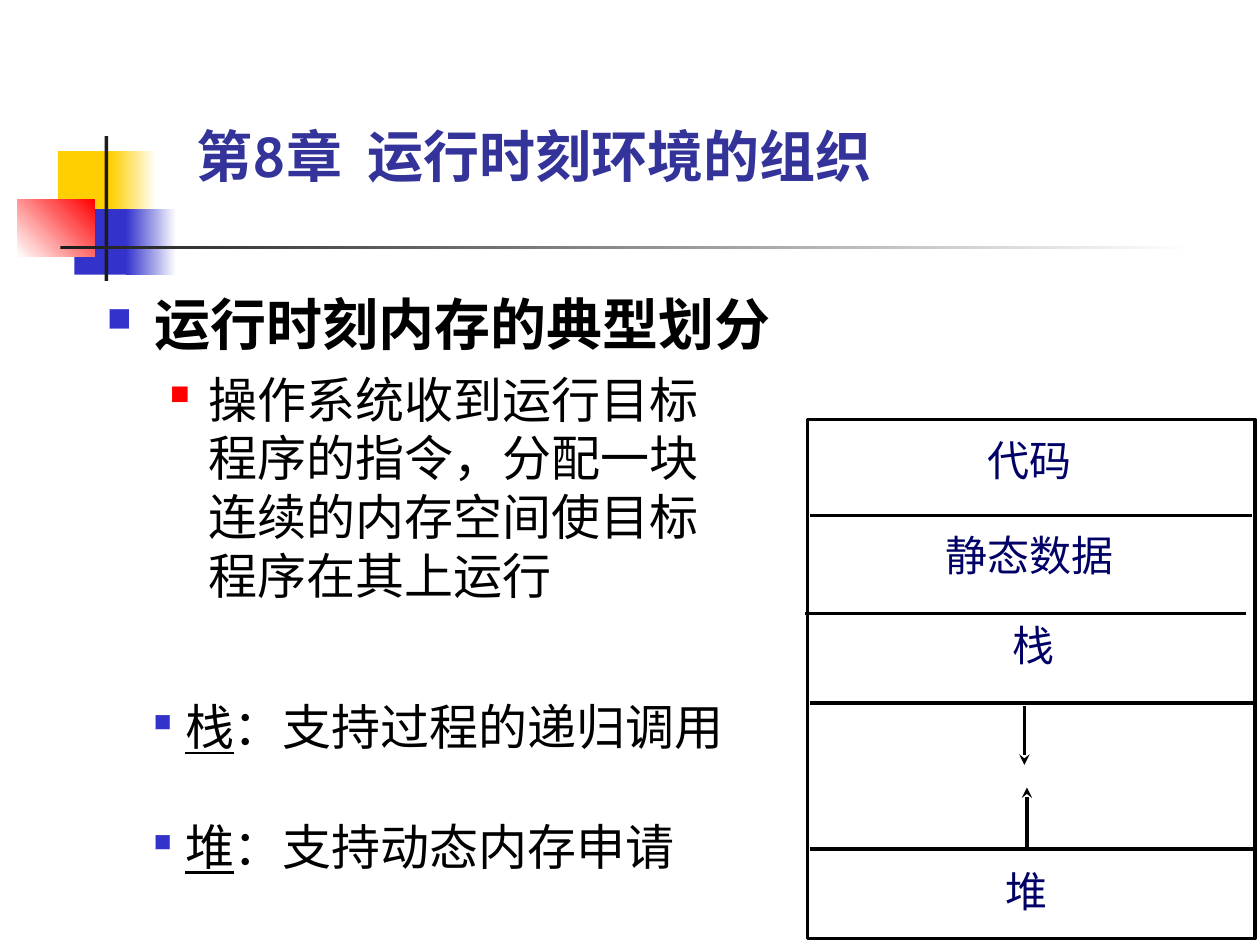
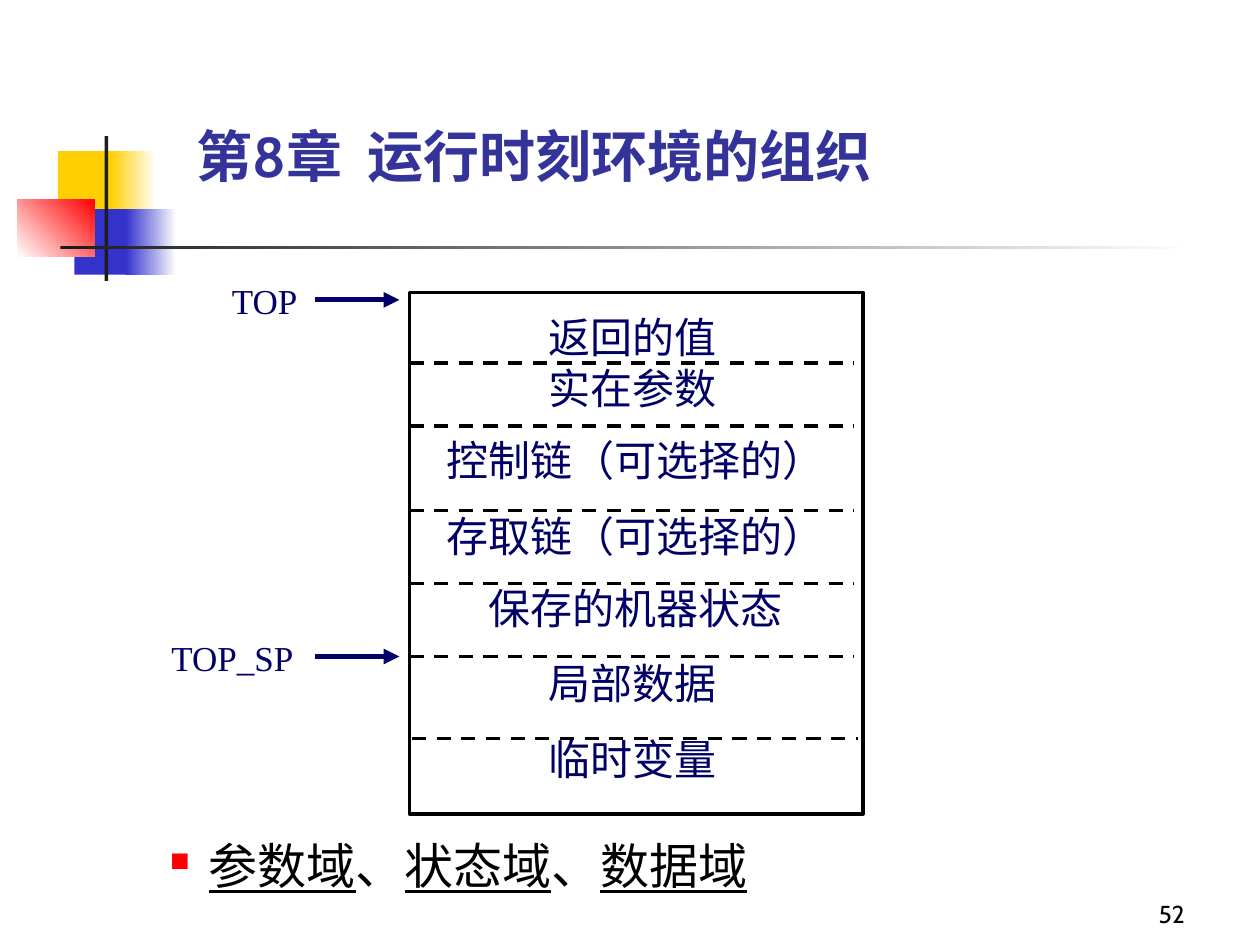
from typing import NamedTuple, Optional

from lxml.etree import SubElement
from pptx import Presentation
from pptx.dml.color import RGBColor
from pptx.enum.dml import MSO_LINE
from pptx.enum.shapes import MSO_CONNECTOR, MSO_SHAPE
from pptx.enum.text import MSO_ANCHOR, PP_ALIGN
from pptx.oxml.ns import qn
from pptx.util import Inches, Pt

WHITE = RGBColor(0xFF, 0xFF, 0xFF)
BLACK = RGBColor(0x00, 0x00, 0x00)
YELLOW = RGBColor(0xFF, 0xCF, 0x01)
BLUE = RGBColor(0x33, 0x33, 0xCC)
RED = RGBColor(0xFF, 0x00, 0x00)
CHARCOAL = RGBColor(0x1C, 0x1C, 0x1C)
INDIGO = RGBColor(0x33, 0x33, 0x99)
NAVY = RGBColor(0x00, 0x00, 0x66)

BODY_FONT = "Cabin"
LABEL_FONT = "Times New Roman"
TITLE = "第8章  运行时刻环境的组织"


class Box(NamedTuple):
    """A rectangle in inches."""
    x: float
    y: float
    w: float
    h: float


class Block(NamedTuple):
    """A decorative block, plain or fading to a second colour."""
    box: Box
    color: RGBColor
    fade_to: Optional[RGBColor] = None
    angle: float = 0


class Run(NamedTuple):
    """A piece of text."""
    text: str
    underline: bool = False


class Style(NamedTuple):
    """The look of a paragraph."""
    size: int
    font: str = BODY_FONT
    color: RGBColor = BLACK
    bold: bool = False
    align: PP_ALIGN = PP_ALIGN.LEFT
    anchor: MSO_ANCHOR = MSO_ANCHOR.TOP
    top: float = 0.05


class Bullet(NamedTuple):
    """The bullet and indent of one outline level."""
    level: int
    color: RGBColor
    percent: int
    left: float
    hang: float
    before: int


class Label(NamedTuple):
    """A centred caption in a diagram."""
    text: str
    box: Box


class Stroke(NamedTuple):
    """A straight line in inches with an optional arrowhead."""
    x1: float
    y1: float
    x2: float
    y2: float
    head: str = ""
    color: RGBColor = BLACK
    width: int = 2
    dashed: bool = False


BLOCKS = [
    Block(Box(0.46, 1.2, 0.48, 0.52), YELLOW),
    Block(Box(0.88, 1.2, 0.36, 0.52), YELLOW, WHITE),
    Block(Box(0.59, 1.66, 0.46, 0.52), BLUE),
    Block(Box(1, 1.66, 0.4, 0.52), BLUE, WHITE),
    Block(Box(0.14, 1.58, 0.61, 0.46), WHITE, RED, 45),
    Block(Box(0.83, 1.08, 0.03, 1.15), CHARCOAL),
    Block(Box(0.48, 1.95, 9, 0.03), CHARCOAL, WHITE),
]

TITLE_STYLE = Style(32, color=INDIGO, bold=True, anchor=MSO_ANCHOR.BOTTOM)
HEADING_STYLE = Style(32, bold=True)
BODY_STYLE = Style(28)
NUMBER_STYLE = Style(14, align=PP_ALIGN.RIGHT, anchor=MSO_ANCHOR.BOTTOM)
LABEL_STYLE = Style(24, LABEL_FONT, NAVY, align=PP_ALIGN.CENTER, top=0.09)
POINTER_STYLE = LABEL_STYLE._replace(size=20)

HEADING_BULLET = Bullet(0, BLUE, 60, 0.38, 0.38, 8)
BODY_BULLET = Bullet(1, RED, 55, 0.81, 0.31, 7)
TERM_BULLET = Bullet(2, BLUE, 50, 1.25, 0.25, 7)

MEMORY_AREAS = [
    Label("代码", Box(6.48, 3.36, 3.38, 0.65)),
    Label("静态数据", Box(6.48, 4.11, 3.38, 0.65)),
    Label("栈", Box(6.51, 4.83, 3.38, 0.65)),
    Label("堆", Box(6.46, 6.78, 3.38, 0.65)),
]
MEMORY_LINES = [
    Stroke(6.43, 4.09, 9.94, 4.09),
    Stroke(6.39, 4.87, 9.89, 4.87),
    Stroke(6.43, 5.58, 9.96, 5.58),
    Stroke(6.43, 6.74, 9.96, 6.74),
    Stroke(8.13, 5.6, 8.13, 6.07, "stealth"),
    Stroke(8.15, 6.72, 8.15, 6.25, "stealth"),
]

RECORD_FIELDS = [
    Label("返回的值", Box(3.33, 2.38, 3.38, 0.5)),
    Label("实在参数", Box(3.33, 2.79, 3.38, 0.71)),
    Label("控制链（可选择的）", Box(3.35, 3.36, 3.39, 0.71)),
    Label("存取链（可选择的）", Box(3.35, 3.96, 3.38, 0.71)),
    Label("保存的机器状态", Box(3.35, 4.53, 3.39, 0.71)),
    Label("局部数据", Box(3.33, 5.13, 3.38, 0.71)),
    Label("临时变量", Box(3.33, 5.73, 3.38, 0.72)),
]
FIELD_LINES = [Stroke(3.25, y, 6.78, y, dashed=True)
               for y in (2.88, 3.38, 4.05, 4.63, 5.21)]
FIELD_LINES.append(Stroke(3.27, 5.86, 6.81, 5.86, dashed=True))
POINTERS = [
    Label("TOP", Box(1.45, 2.13, 1.3, 0.5)),
    Label("TOP_SP", Box(1.03, 4.96, 1.63, 0.5)),
]
POINTER_ARROWS = [Stroke(2.5, y, 3.17, y, "triangle", NAVY, 3)
                  for y in (2.38, 5.21)]


def emu(box: Box) -> list:
    """Return the box as lengths."""
    return [Inches(v) for v in box]


def add_block(s, block: Block) -> None:
    """Draw a borderless block."""
    sp = s.shapes.add_shape(MSO_SHAPE.RECTANGLE, *emu(block.box))
    sp.shadow.inherit = False
    sp.line.fill.background()
    if block.fade_to is None:
        sp.fill.solid()
        sp.fill.fore_color.rgb = block.color
        return
    sp.fill.gradient()
    sp.fill.gradient_angle = block.angle
    for stop, color in zip(sp.fill.gradient_stops, (block.color, block.fade_to)):
        stop.color.rgb = color


def add_frame(s, box: Box) -> None:
    """Draw the outer border of a diagram."""
    sp = s.shapes.add_shape(MSO_SHAPE.RECTANGLE, *emu(box))
    sp.shadow.inherit = False
    sp.fill.background()
    sp.line.color.rgb = BLACK
    sp.line.width = Pt(2)


def set_bullet(p, bullet: Bullet) -> None:
    """Give a paragraph its square bullet and hanging indent."""
    p.level = bullet.level
    p.space_before = Pt(bullet.before)
    pPr = p._p.get_or_add_pPr()
    pPr.set("marL", str(Inches(bullet.left)))
    pPr.set("indent", str(-Inches(bullet.hang)))
    color = SubElement(pPr, qn("a:buClr"))
    SubElement(color, qn("a:srgbClr"), val=str(bullet.color))
    SubElement(pPr, qn("a:buSzPct"), val=str(bullet.percent * 1000))
    SubElement(pPr, qn("a:buChar"), char="■")


def add_text(s, box: Box, runs: list[Run], style: Style,
             bullet: Optional[Bullet] = None) -> None:
    """Write one paragraph in a wrapping text box."""
    tf = s.shapes.add_textbox(*emu(box)).text_frame
    tf.word_wrap = True
    tf.vertical_anchor = style.anchor
    tf.margin_top = Inches(style.top)
    p = tf.paragraphs[0]
    p.alignment = style.align
    if bullet:
        set_bullet(p, bullet)
    for run in runs:
        r = p.add_run()
        r.text = run.text
        r.font.name = style.font
        r.font.size = Pt(style.size)
        r.font.bold = style.bold
        r.font.underline = run.underline
        r.font.color.rgb = style.color


def add_labels(s, labels: list[Label], style: Style) -> None:
    """Write the captions of a diagram."""
    for label in labels:
        add_text(s, label.box, [Run(label.text)], style)


def add_strokes(s, strokes: list[Stroke]) -> None:
    """Draw lines and arrows."""
    for stroke in strokes:
        ends = [Inches(v) for v in stroke[:4]]
        c = s.shapes.add_connector(MSO_CONNECTOR.STRAIGHT, *ends)
        c.line.color.rgb = stroke.color
        c.line.width = Pt(stroke.width)
        if stroke.dashed:
            c.line.dash_style = MSO_LINE.DASH
        spPr = c._element.spPr
        if stroke.head:
            SubElement(spPr.find(qn("a:ln")), qn("a:tailEnd"), type=stroke.head)
        SubElement(spPr, qn("a:effectLst"))


def add_base(prs):
    """Add a slide with the shared blocks and title."""
    s = prs.slides.add_slide(prs.slide_layouts[6])
    for block in BLOCKS:
        add_block(s, block)
    add_text(s, Box(1.46, 0.84, 7.09, 0.71), [Run(TITLE)], TITLE_STYLE)
    return s


def add_memory_slide(prs) -> None:
    """Build the slide on the division of run-time memory."""
    s = add_base(prs)
    add_text(s, Box(0.75, 2.25, 8.66, 0.71), [Run("运行时刻内存的典型划分")],
             HEADING_STYLE, HEADING_BULLET)
    add_text(s, Box(0.75, 2.88, 5.12, 2.28),
             [Run("操作系统收到运行目标程序的指令，分配一块连续的内存空间使目标程序在其上运行")],
             BODY_STYLE, BODY_BULLET)
    terms = [("栈", "：支持过程的递归调用", 5.48), ("堆", "：支持动态内存申请", 6.43)]
    for term, meaning, y in terms:
        add_text(s, Box(0.12, y, 5.98, 0.63), [Run(term, True), Run(meaning)],
                 BODY_STYLE, TERM_BULLET)
    add_frame(s, Box(6.41, 3.33, 3.55, 4.12))
    add_labels(s, MEMORY_AREAS, LABEL_STYLE)
    add_strokes(s, MEMORY_LINES)


def add_record_slide(prs) -> None:
    """Build the slide on the fields of an activation record."""
    s = add_base(prs)
    add_text(s, Box(7.42, 6.92, 2.08, 0.5), [Run("52")], NUMBER_STYLE)
    add_text(s, Box(0.75, 6.58, 8.66, 0.71),
             [Run("参数域", True), Run("、"), Run("状态域", True), Run("、"),
              Run("数据域", True)], BODY_STYLE, BODY_BULLET)
    add_frame(s, Box(3.25, 2.32, 3.6, 4.14))
    add_labels(s, RECORD_FIELDS, LABEL_STYLE)
    add_strokes(s, FIELD_LINES + POINTER_ARROWS)
    add_labels(s, POINTERS, POINTER_STYLE)


def main() -> None:
    """Build and save the presentation."""
    prs = Presentation()
    prs.slide_width, prs.slide_height = Inches(10), Inches(7.5)
    add_memory_slide(prs)
    add_record_slide(prs)
    prs.save("out.pptx")


if __name__ == "__main__":
    main()
